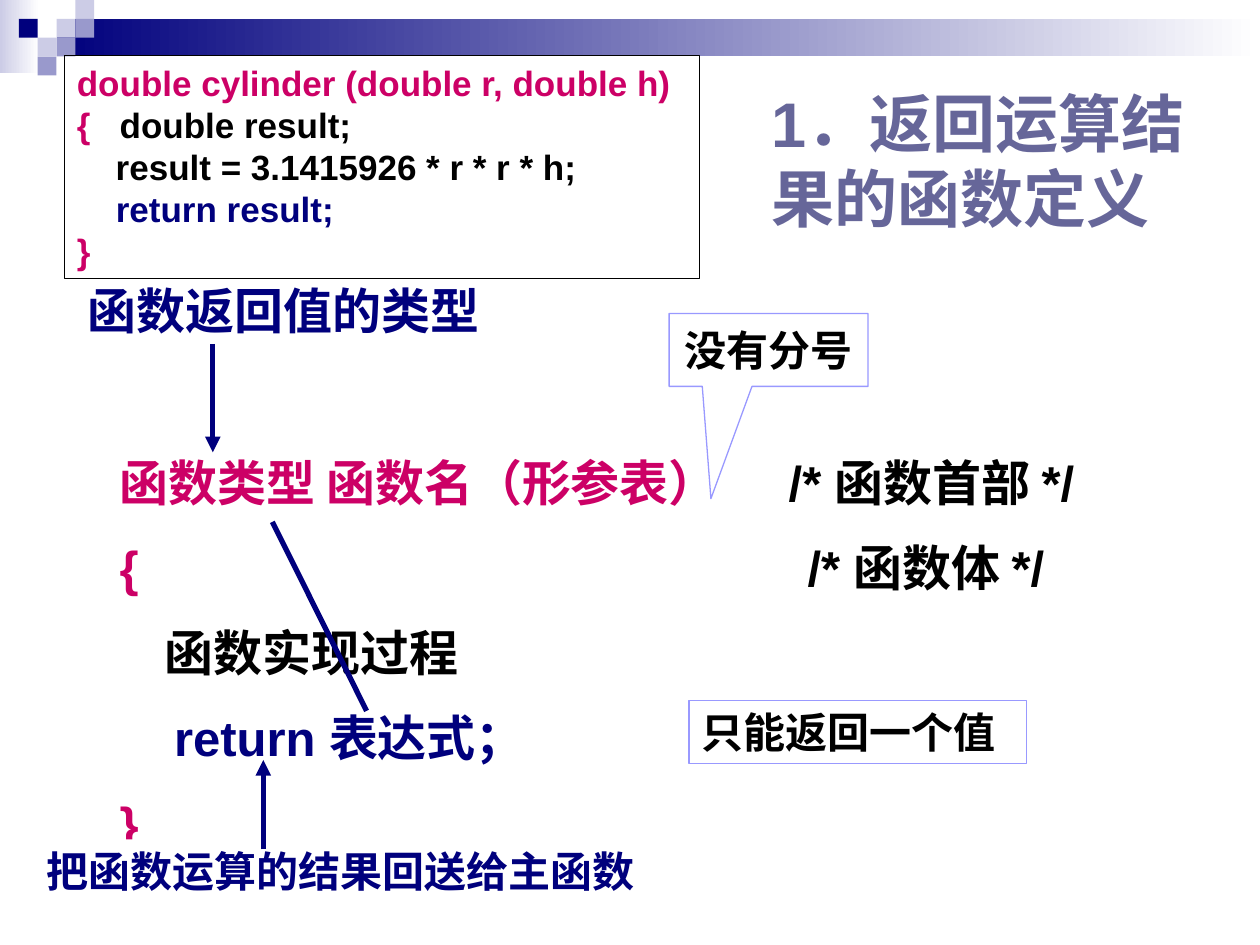
"""Build a slide that explains how to define a function returning a result."""
from lxml import etree
from pptx import Presentation
from pptx.dml.color import RGBColor
from pptx.enum.shapes import MSO_CONNECTOR, MSO_SHAPE
from pptx.enum.text import MSO_ANCHOR, MSO_AUTO_SIZE, PP_ALIGN
from pptx.oxml.ns import qn
from pptx.util import Cm, Pt

RECTANGLE, CALLOUT = MSO_SHAPE.RECTANGLE, MSO_SHAPE.RECTANGULAR_CALLOUT
STRAIGHT = MSO_CONNECTOR.STRAIGHT
TOP, MIDDLE = MSO_ANCHOR.TOP, MSO_ANCHOR.MIDDLE
LEFT, CENTER, JUSTIFY = PP_ALIGN.LEFT, PP_ALIGN.CENTER, PP_ALIGN.JUSTIFY
NO_AUTOFIT = MSO_AUTO_SIZE.NONE

COLORS = {
    "navy": "00007D", "magenta": "CC0066", "black": "000000", "white": "FFFFFF",
    "slate": "666699", "outline": "9999FF", "pale": "CCCCE6", "mid": "9999CC",
}

BANDS = [((0, 0, 0.79, 1.47), "pale"), ((1.14, 0.38, 24.26, 0.76), "navy")]
SQUARE = 0.38
SQUARES = [(3, 1, "pale"), (4, 0, "pale"), (4, 1, "mid"), (2, 2, "pale"),
           (1, 1, "navy"), (3, 2, "mid"), (2, 3, "mid")]

TITLE = [[("1．返回运算结果的函数定义", "slate")]]
SYNTAX = [
    [("函数类型 函数名（形参表）\t", "magenta"), ("/* 函数首部 */", "black")],
    [("{\t", "magenta"), ("/* 函数体 */", "black")],
    [("函数实现过程", "black")],
    [("return 表达式；", "navy")],
    [("}", "magenta")],
]
SYNTAX_INDENTS = [0, 0, 0.91, 1.1, 0]
SYNTAX_TABS = [13.49, 13.87, None, None, None]
CODE = [
    [("double cylinder (double r, double h)", "magenta")],
    [("{", "magenta"), ("   double result;", "black")],
    [("    result = 3.1415926 * r * r * h;", "black")],
    [("    ", "black"), ("return result;", "navy")],
    [("}", "magenta")],
]
RESULT_NOTE = [[("把函数运算的结果回送给主函数", "navy")]]
SINGLE_VALUE_NOTE = [[("只能返回一个值", "black")]]
TYPE_LABEL = [[("函数返回值的类型", "navy")]]
SEMICOLON_NOTE = [[("没有分号", "black")]]

LINKS = [((5.49, 10.52), (7.39, 14.33), False),
         ((4.29, 6.93), (4.29, 9.12), True),
         ((5.31, 17.12), (5.31, 15.32), True)]


def rgb(color):
    return RGBColor.from_string(COLORS[color])


def lengths(values):
    return [Cm(value) for value in values]


def write(frame, lines, size, font="Arial", align=LEFT, anchor=TOP, wrap=True):
    frame.word_wrap = wrap
    frame.auto_size = NO_AUTOFIT
    frame.vertical_anchor = anchor
    for index, line in enumerate(lines):
        paragraph = frame.add_paragraph() if index else frame.paragraphs[0]
        paragraph.alignment = align
        for text, color in line:
            run = paragraph.add_run()
            run.text = text
            run.font.size = Pt(size)
            run.font.name = font
            run.font.bold = True
            run.font.color.rgb = rgb(color)


def add_box(slide, area, fill=None, line=None, kind=RECTANGLE):
    box = slide.shapes.add_shape(kind, *lengths(area))
    box.shadow.inherit = False
    if fill:
        box.fill.solid()
        box.fill.fore_color.rgb = rgb(fill)
    else:
        box.fill.background()
    if line:
        box.line.color.rgb = rgb(line)
        box.line.width = Pt(0.75)
    else:
        box.line.fill.background()
    return box


def add_decoration(slide):
    for area, color in BANDS:
        fill = add_box(slide, area).fill
        fill.gradient()
        fill.gradient_angle = 0
        for stop, shade in zip(fill.gradient_stops, (color, "white")):
            stop.color.rgb = rgb(shade)
    for column, row, color in SQUARES:
        add_box(slide, (column * SQUARE, row * SQUARE, SQUARE, SQUARE), color)


def add_syntax(slide):
    frame = slide.shapes.add_textbox(*lengths((0.89, 8.71, 23.8, 9.8))).text_frame
    frame.margin_left = Cm(1.52)
    write(frame, SYNTAX, 28, align=JUSTIFY)
    for index, paragraph in enumerate(frame.paragraphs):
        paragraph.line_spacing = 1.24
        if index:
            paragraph.space_before = Pt(7)
        properties = paragraph._p.get_or_add_pPr()
        if SYNTAX_INDENTS[index]:
            properties.set("marL", str(Cm(SYNTAX_INDENTS[index])))
        if SYNTAX_TABS[index]:
            tabs = etree.SubElement(properties, qn("a:tabLst"))
            etree.SubElement(tabs, qn("a:tab"), pos=str(Cm(SYNTAX_TABS[index])), algn="l")


def add_link(slide, start, end, arrow):
    link = slide.shapes.add_connector(STRAIGHT, *lengths(start + end))
    link.line.color.rgb = rgb("navy")
    link.line.width = Pt(3)
    if arrow:
        etree.SubElement(link.line._get_or_add_ln(), qn("a:tailEnd"), type="triangle")
    etree.SubElement(link._element.spPr, qn("a:effectLst"))


def main():
    deck = Presentation()
    deck.slide_width, deck.slide_height = Cm(25.4), Cm(19.05)
    slide = deck.slides.add_slide(deck.slide_layouts[5])
    add_decoration(slide)

    title = slide.shapes.title
    title.left, title.top, title.width, title.height = lengths((15.29, 1.32, 9.6, 3.81))
    write(title.text_frame, TITLE, 36, anchor=MIDDLE)
    add_syntax(slide)

    result = add_box(slide, (0.69, 16.92, 12.8, 1.27), "white")
    write(result.text_frame, RESULT_NOTE, 24)
    single = add_box(slide, (13.89, 14.12, 6.81, 1.27), "white", "outline")
    write(single.text_frame, SINGLE_VALUE_NOTE, 24, "Times New Roman")
    label = slide.shapes.add_textbox(*lengths((1.52, 5.54, 8.38, 1.45)))
    write(label.text_frame, TYPE_LABEL, 28, wrap=False)
    callout = add_box(slide, (13.49, 6.32, 4.01, 1.47), "white", "outline", CALLOUT)
    callout.adjustments[0], callout.adjustments[1] = -0.29, 2.04
    write(callout.text_frame, SEMICOLON_NOTE, 24, align=CENTER, anchor=MIDDLE, wrap=False)
    code = add_box(slide, (1.3, 1.12, 12.8, 4.5), line="black")
    write(code.text_frame, CODE, 20)

    for start, end, arrow in LINKS:
        add_link(slide, start, end, arrow)
    deck.save("out.pptx")


if __name__ == "__main__":
    main()
